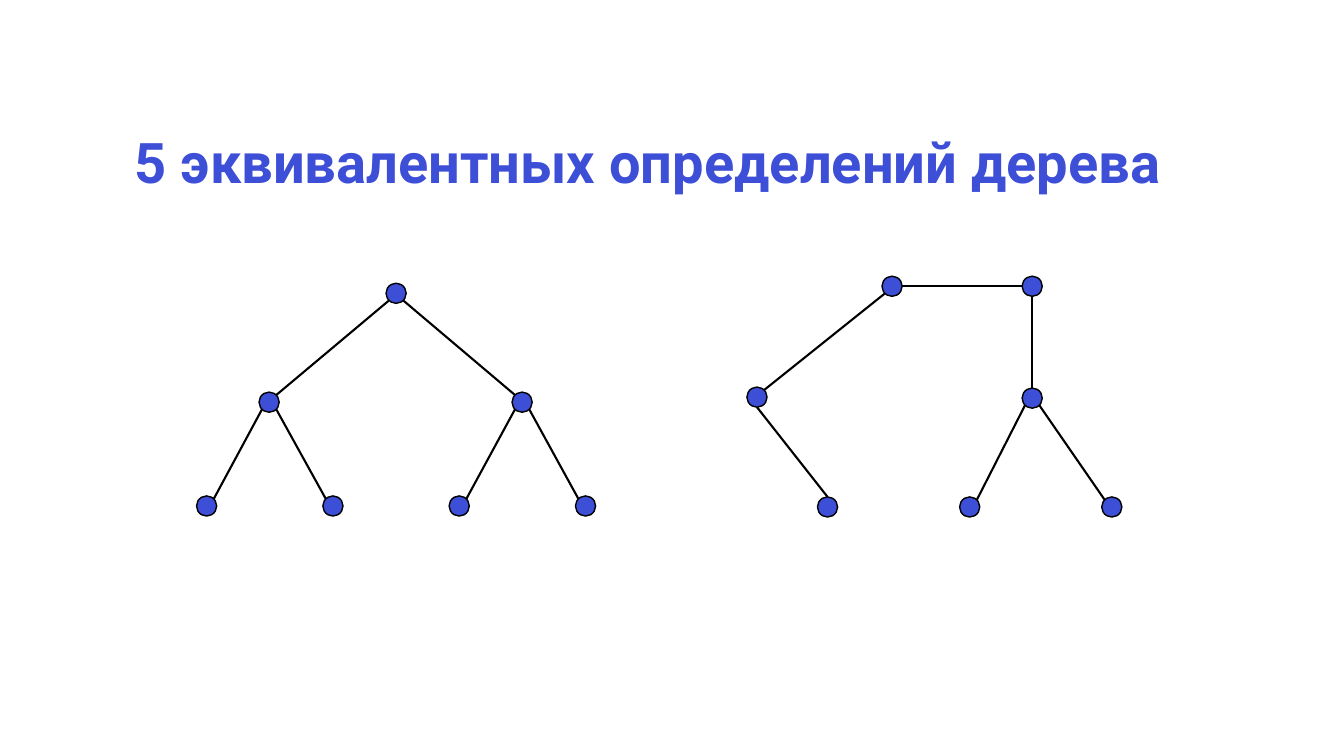
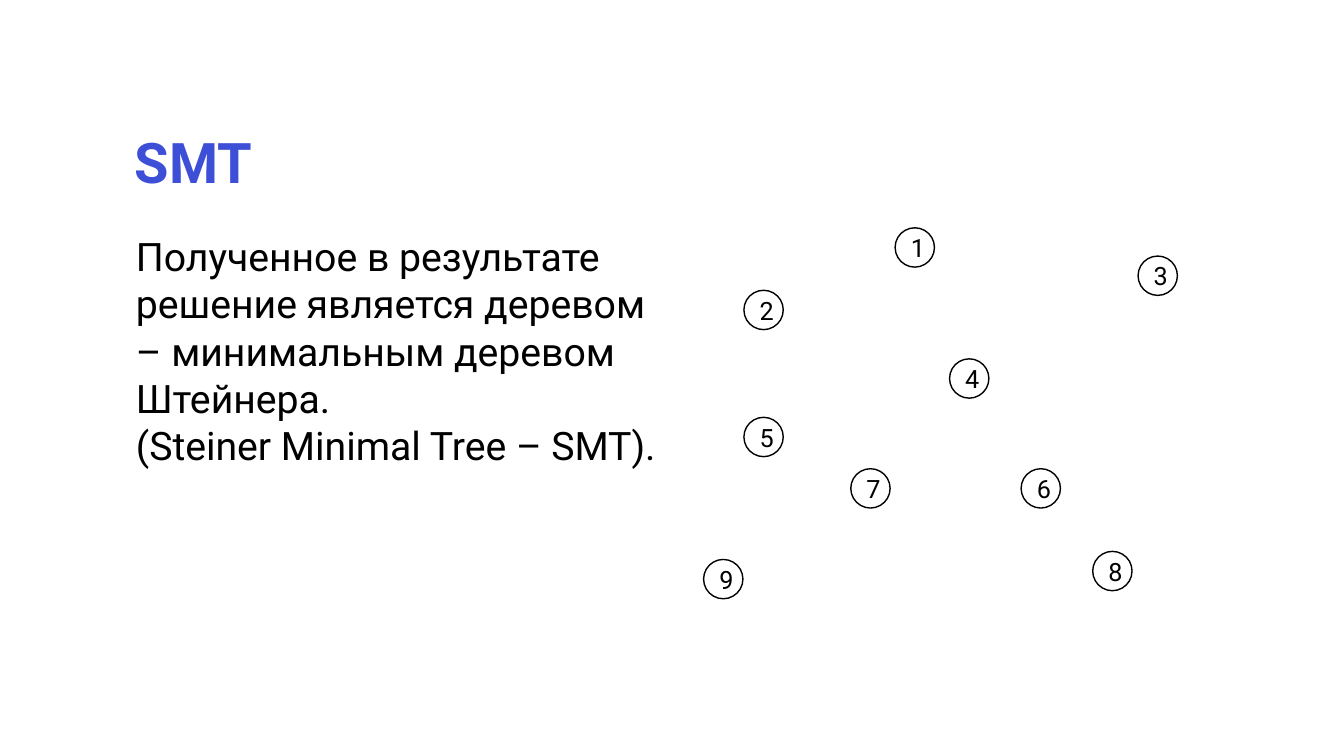
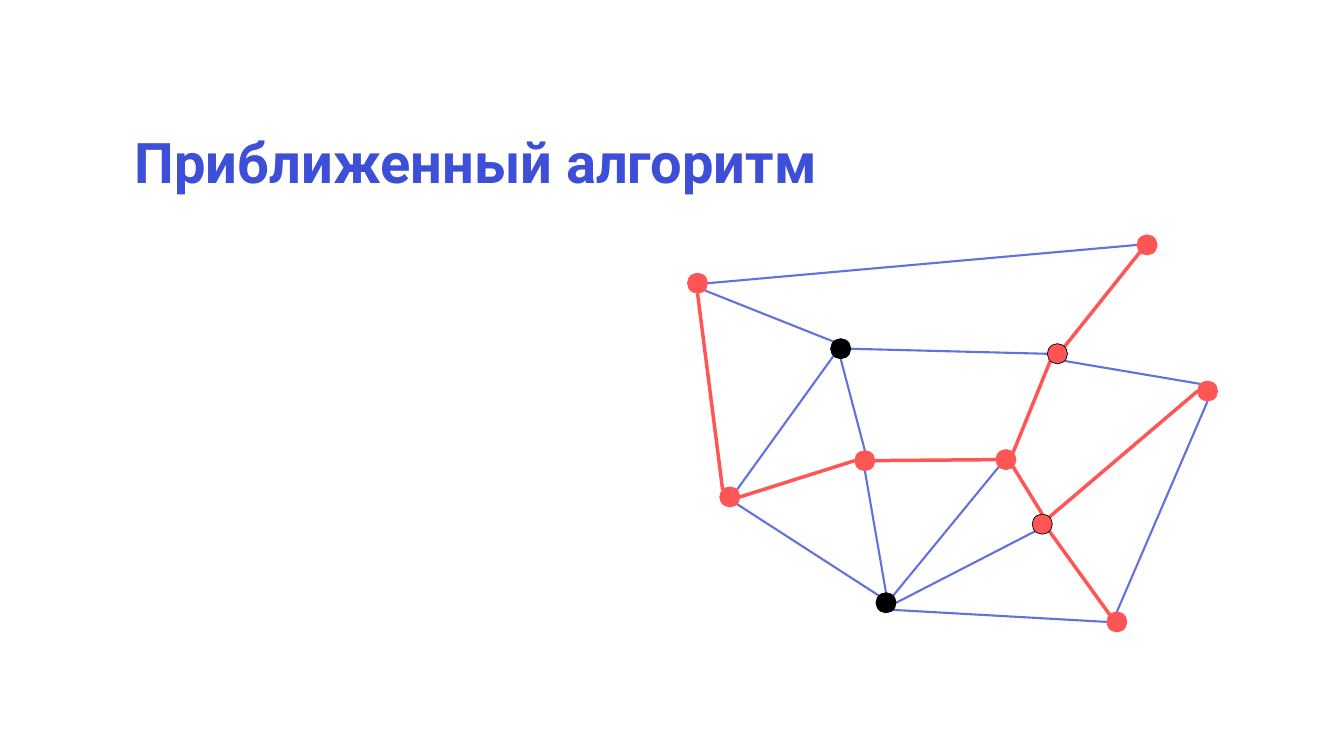
"""Build three slides about trees, Steiner minimal trees and an approximate algorithm."""
from dataclasses import dataclass
from math import cos, radians, sin

from lxml.etree import SubElement
from pptx import Presentation
from pptx.dml.color import RGBColor
from pptx.enum.shapes import MSO_CONNECTOR, MSO_SHAPE
from pptx.enum.text import MSO_ANCHOR, MSO_AUTO_SIZE, PP_ALIGN
from pptx.oxml.ns import qn
from pptx.util import Inches, Pt


@dataclass(frozen=True)
class Theme:
    font: str = "Roboto"
    accent: str = "3D4ED7"
    edge: str = "6371DF"
    route: str = "FF5555"
    ink: str = "000000"
    paper: str = "FFFFFF"
    title_size: int = 40
    body_size: int = 28
    label_size: int = 18
    thin: float = 1.5
    thick: float = 2.5


THEME = Theme()
CELL = 0.1
COLUMNS, ROWS = 133.33, 75
NODE, NUMBERED_NODE = 2, 3.9
TITLE_AREA = (12.4, 12.4, 108.5, 8)
BODY_AREA = (12.5, 22.6, 54.2, 24.6)
COMPASS = {side: 45 * turn for turn, side in enumerate("E SE S SW W NW N NE".split())}

TREES_TITLE = "5 эквивалентных определений дерева"
LEAF_COLUMNS = [20.5 + 12.53 * leaf for leaf in range(4)]
BINARY_TREE = {
    "root": (39.3, 29.1), "left": (26.7, 39.9), "right": (51.8, 39.9),
    **{f"leaf{number}": (column, 50.2) for number, column in enumerate(LEAF_COLUMNS, 1)},
}
BINARY_EDGES = [
    "root SW left NE", "root SE right NW",
    "left SW leaf1 NE", "left SE leaf2 NW",
    "right SW leaf3 NE", "right SE leaf4 NW",
]
FREE_TREE = {
    "top": (88.5, 28.4), "corner": (102.4, 28.4),
    "left": (75.1, 39.4), "right": (102.4, 39.5),
    "leaf1": (82.1, 50.3), "leaf2": (96.2, 50.3), "leaf3": (110.3, 50.3),
}
FREE_EDGES = [
    "corner S right N", "corner W top E", "top SW left NE",
    "left S leaf1 N", "right SW leaf2 NE", "right SE leaf3 NW",
]

SMT_TITLE = "SMT"
SMT_BODY = [
    "Полученное в результате решение является деревом – минимальным деревом Штейнера.",
    "(Steiner Minimal Tree – SMT).",
]
NUMBERED_POINTS = [
    (90.75, 24.55), (75.75, 30.75), (114.85, 27.35),
    (96.15, 37.55), (75.75, 43.35), (103.25, 48.45),
    (86.35, 48.45), (110.35, 56.65), (71.75, 57.45),
]

ALGORITHM_TITLE = "Приближенный алгоритм"
TERMINALS = {
    "t1": (69.2, 28.1), "t2": (113.8, 24.3), "t3": (119.8, 38.8), "t4": (110.8, 61.7),
    "t5": (72.4, 49.3), "t6": (85.8, 45.7), "t7": (99.8, 45.6),
}
STEINER_POINTS = {"s1": (104.9, 35.1), "s2": (103.4, 52)}
UNUSED_POINTS = {"u1": (83.4, 34.6), "u2": (87.9, 59.8)}
GRAPH_EDGES = [
    "u1 E s1 W", "t6 N u1 S", "u1 NW t1 SE", "s1 SE t3 NW", "u1 SW t5 NE",
    "t4 N t3 S", "t1 E t2 W", "u2 NE t7 SW", "t5 SE u2 NW", "u2 SE t4 W",
    "u2 E s2 SW", "t6 S u2 N",
]
ROUTE_EDGES = [
    "s1 NE t2 SW", "s2 NE t3 W", "t6 E t7 W", "s2 SE t4 NW", "t1 S t5 NW",
    "t7 NE s1 SW", "t7 SE s2 N", "t5 E t6 W",
]


def grid(*cells):
    return [Inches(cell * CELL) for cell in cells]


def color(code):
    return RGBColor.from_string(code)


def write(frame, paragraphs, *, size, ink=THEME.ink, bold=False, align=PP_ALIGN.LEFT,
          anchor=MSO_ANCHOR.TOP, spacing=None):
    frame.word_wrap = True
    frame.vertical_anchor = anchor
    for index, wording in enumerate(paragraphs):
        paragraph = frame.add_paragraph() if index else frame.paragraphs[0]
        paragraph.alignment = align
        paragraph.line_spacing = spacing
        run = paragraph.add_run()
        run.text = wording
        run.font.name = THEME.font
        run.font.size = Pt(size)
        run.font.bold = bold
        run.font.color.rgb = color(ink)


def add_titled_slide(deck, title):
    slide = deck.slides.add_slide(deck.slide_layouts[6])
    heading = slide.shapes.add_textbox(*grid(*TITLE_AREA))
    write(heading.text_frame, [title], size=THEME.title_size, ink=THEME.accent,
          bold=True, anchor=MSO_ANCHOR.MIDDLE, spacing=0.9)
    return slide


def draw_node(slide, center, fill, outline=THEME.ink, width=1, diameter=NODE):
    column, row = (middle - diameter / 2 for middle in center)
    node = slide.shapes.add_shape(MSO_SHAPE.OVAL, *grid(column, row, diameter, diameter))
    node.shadow.inherit = False
    node.fill.solid()
    node.fill.fore_color.rgb = color(fill)
    node.line.color.rgb = color(outline)
    node.line.width = Pt(width)
    return node


def rim(center, side):
    angle = radians(COMPASS[side])
    column, row = center
    return column + NODE / 2 * cos(angle), row + NODE / 2 * sin(angle)


def draw_edges(slide, points, edges, stroke=THEME.ink, width=THEME.thin):
    for edge in edges:
        start, start_side, end, end_side = edge.split()
        ends = rim(points[start], start_side) + rim(points[end], end_side)
        link = slide.shapes.add_connector(MSO_CONNECTOR.STRAIGHT, *grid(*ends))
        link.line.color.rgb = color(stroke)
        link.line.width = Pt(width)
        SubElement(link._element.spPr, qn("a:effectLst"))


def build_trees(deck):
    slide = add_titled_slide(deck, TREES_TITLE)
    for points, edges in ((FREE_TREE, FREE_EDGES), (BINARY_TREE, BINARY_EDGES)):
        draw_edges(slide, points, edges)
        for center in points.values():
            draw_node(slide, center, THEME.accent)


def build_smt(deck):
    slide = add_titled_slide(deck, SMT_TITLE)
    body = slide.shapes.add_textbox(*grid(*BODY_AREA))
    write(body.text_frame, SMT_BODY, size=THEME.body_size)
    body.text_frame.auto_size = MSO_AUTO_SIZE.SHAPE_TO_FIT_TEXT
    for number, center in enumerate(NUMBERED_POINTS, 1):
        node = draw_node(slide, center, THEME.paper, diameter=NUMBERED_NODE)
        write(node.text_frame, [str(number)], size=THEME.label_size,
              align=PP_ALIGN.CENTER, anchor=MSO_ANCHOR.MIDDLE)


def build_algorithm(deck):
    slide = add_titled_slide(deck, ALGORITHM_TITLE)
    points = {**TERMINALS, **STEINER_POINTS, **UNUSED_POINTS}
    draw_edges(slide, points, GRAPH_EDGES, THEME.edge)
    draw_edges(slide, points, ROUTE_EDGES, THEME.route, THEME.thick)
    for group, fill, outline in (
        (TERMINALS, THEME.route, THEME.route),
        (STEINER_POINTS, THEME.route, THEME.ink),
        (UNUSED_POINTS, THEME.ink, THEME.ink),
    ):
        for center in group.values():
            draw_node(slide, center, fill, outline, width=0.5)


def main():
    deck = Presentation()
    deck.slide_width, deck.slide_height = grid(COLUMNS, ROWS)
    for build in (build_trees, build_smt, build_algorithm):
        build(deck)
    deck.save("out.pptx")


if __name__ == "__main__":
    main()
